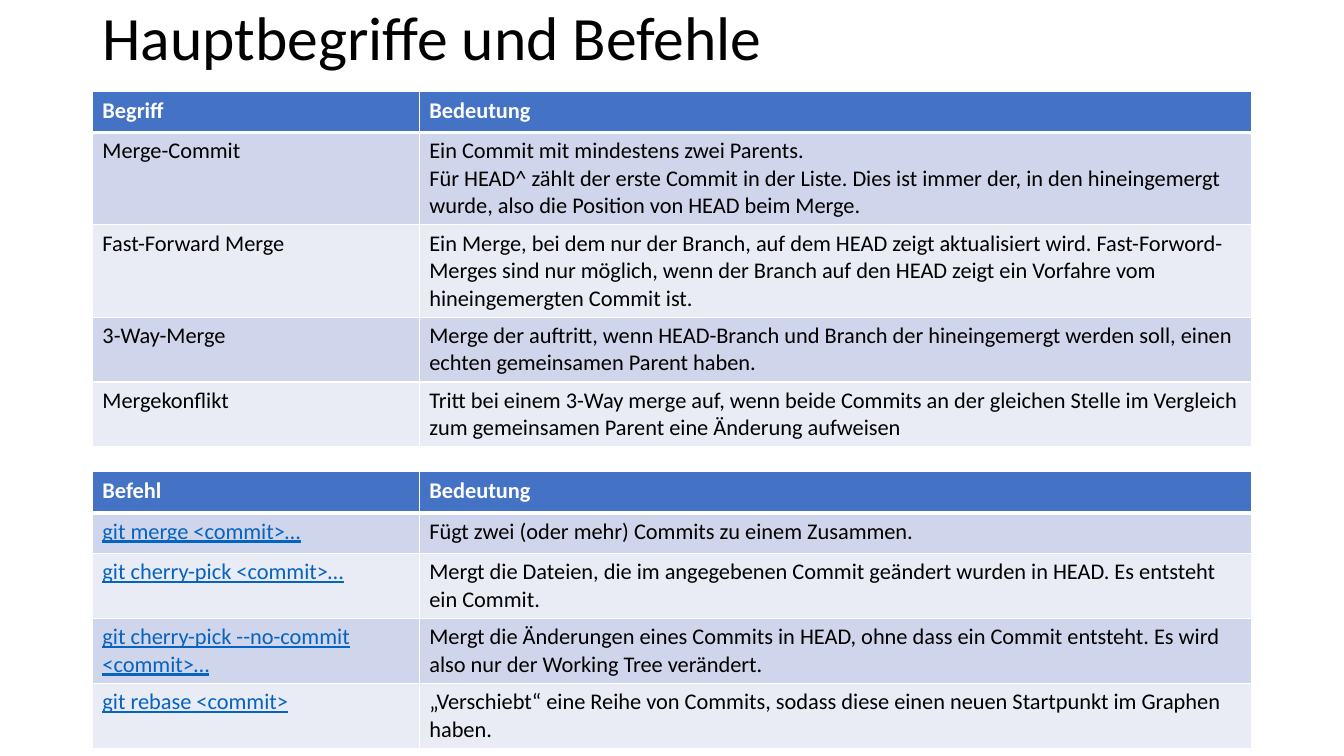
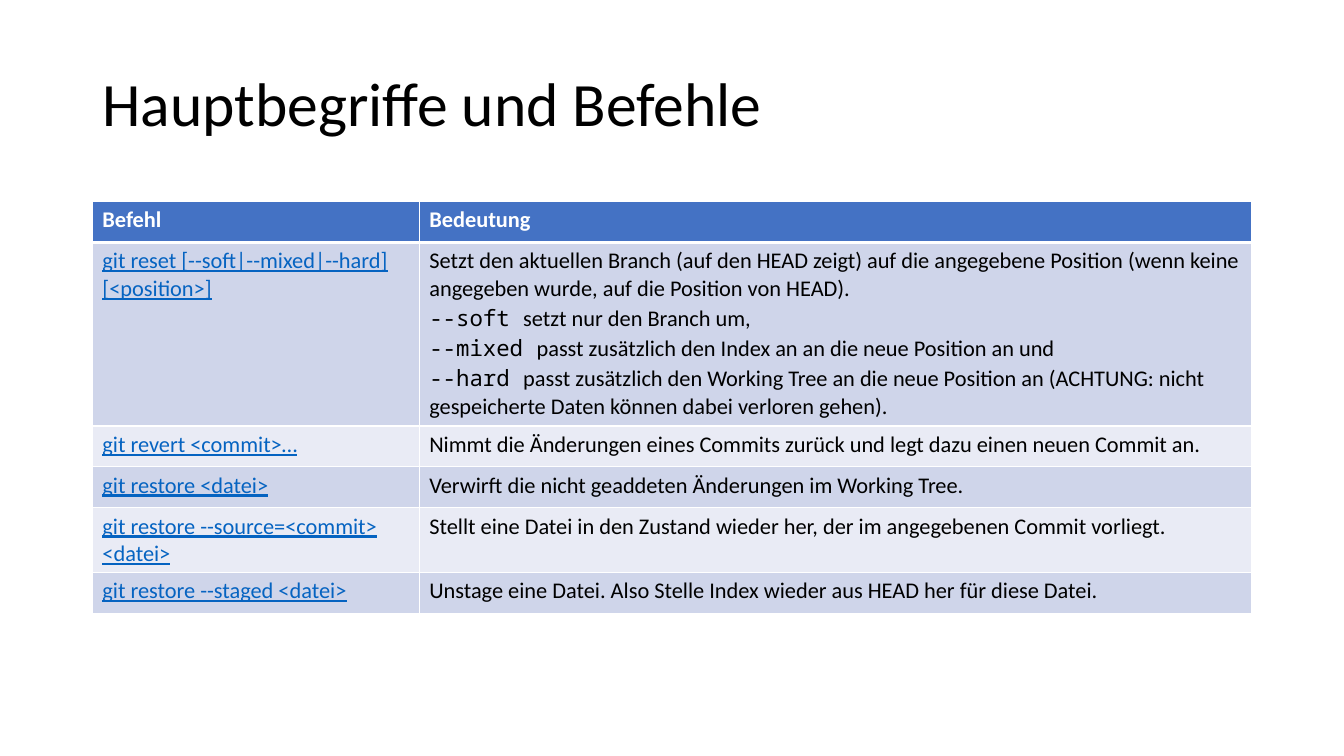
import pptx
import pptx.dml.color
import pptx.enum.text
import pptx.oxml
import pptx.oxml.ns
import pptx.util

Pt = pptx.util.Pt

BODY_FONT = "Calibri"
CODE_FONT = "Noto Sans Mono"
BLACK, WHITE = "000000", "FFFFFF"
HEADER_FILL = "4472C4"
BAND_FILLS = ("CFD5EA", "E9EBF5")
COMMAND_COLOR = "0563C1"

TITLE = "Hauptbegriffe und Befehle"

TERMS = [
    ("Merge-Commit", [
        "Ein Commit mit mindestens zwei Parents.",
        "Für HEAD^ zählt der erste Commit in der Liste. Dies ist immer der, in den "
        "hineingemergt wurde, also die Position von HEAD beim Merge."]),
    ("Fast-Forward Merge", [
        "Ein Merge, bei dem nur der Branch, auf dem HEAD zeigt aktualisiert wird. "
        "Fast-Forword-Merges sind nur möglich, wenn der Branch auf den HEAD zeigt ein "
        "Vorfahre vom hineingemergten Commit ist."]),
    ("3-Way-Merge", [
        "Merge der auftritt, wenn HEAD-Branch und Branch der hineingemergt werden soll, "
        "einen echten gemeinsamen Parent haben."]),
    ("Mergekonflikt", [
        "Tritt bei einem 3-Way merge auf, wenn beide Commits an der gleichen Stelle im "
        "Vergleich zum gemeinsamen Parent eine Änderung aufweisen"]),
]

MERGE_COMMANDS = [
    ("git merge <commit>…", ["Fügt zwei (oder mehr) Commits zu einem Zusammen."]),
    ("git cherry-pick <commit>…", [
        "Mergt die Dateien, die im angegebenen Commit geändert wurden in HEAD. "
        "Es entsteht ein Commit."]),
    ("git cherry-pick --no-commit <commit>…", [
        "Mergt die Änderungen eines Commits in HEAD, ohne dass ein Commit entsteht. "
        "Es wird also nur der Working Tree verändert."]),
    ("git rebase <commit>", [
        "„Verschiebt“ eine Reihe von Commits, sodass diese einen neuen Startpunkt im "
        "Graphen haben."]),
]

# A pair inside a meaning is a command option followed by its explanation.
UNDO_COMMANDS = [
    ("git reset [--soft|--mixed|--hard] [<position>]", [
        "Setzt den aktuellen Branch (auf den HEAD zeigt) auf die angegebene Position "
        "(wenn keine angegeben wurde, auf die Position von HEAD).",
        ("--soft ", "setzt nur den Branch um,"),
        ("--mixed ", "passt zusätzlich den Index an an die neue Position an und"),
        ("--hard ", "passt zusätzlich den Working Tree an die neue Position an (ACHTUNG: "
                    "nicht gespeicherte Daten können dabei verloren gehen).")]),
    ("git revert <commit>…", [
        "Nimmt die Änderungen eines Commits zurück und legt dazu einen neuen Commit an."]),
    ("git restore <datei>", ["Verwirft die nicht geaddeten Änderungen im Working Tree."]),
    ("git restore --source=<commit> <datei>", [
        "Stellt eine Datei in den Zustand wieder her, der im angegebenen Commit vorliegt."]),
    ("git restore --staged <datei>", [
        "Unstage eine Datei. Also Stelle Index wieder aus HEAD her für diese Datei."]),
]


def rgb(hex_color):
    return pptx.dml.color.RGBColor.from_string(hex_color)


def add_text(paragraph, text, size=16, font=BODY_FONT, color=BLACK, bold=False,
             underline=False):
    run = paragraph.add_run()
    run.text = text
    run.font.size = Pt(size)
    run.font.name = font
    run.font.color.rgb = rgb(color)
    run.font.bold = bold
    run.font.underline = underline


def style_cell(cell, fill, top=1, bottom=1):
    """Fill the cell and give it white borders; top and bottom are line widths."""
    properties = cell._tc.get_or_add_tcPr()
    for side, width in (("L", 1), ("R", 1), ("T", top), ("B", bottom)):
        properties.append(pptx.oxml.parse_xml(
            f'<a:ln{side} {pptx.oxml.ns.nsdecls("a")} w="{Pt(width)}"><a:solidFill>'
            f'<a:srgbClr val="{WHITE}"/></a:solidFill></a:ln{side}>'))
    cell.fill.solid()
    cell.fill.fore_color.rgb = rgb(fill)


class Deck:
    LEFT, WIDTH = 66, 828
    TITLE_HEIGHT = 104.4
    TERM_WIDTH = 233.5
    ROW_HEIGHT = 29.2

    def __init__(self):
        self.presentation = pptx.Presentation()
        self.presentation.slide_width = Pt(960)
        self.presentation.slide_height = Pt(540)
        self.slide = None

    def add_slide(self, title, title_top):
        self.slide = self.presentation.slides.add_slide(
            self.presentation.slide_layouts[5])
        heading = self.slide.shapes.title
        heading.left, heading.top = Pt(self.LEFT), Pt(title_top)
        heading.width, heading.height = Pt(self.WIDTH), Pt(self.TITLE_HEIGHT)
        frame = heading.text_frame
        frame.auto_size = pptx.enum.text.MSO_AUTO_SIZE.NONE
        frame.vertical_anchor = pptx.enum.text.MSO_ANCHOR.MIDDLE
        paragraph = frame.paragraphs[0]
        paragraph.alignment = pptx.enum.text.PP_ALIGN.LEFT
        paragraph.line_spacing = 0.9
        add_text(paragraph, title, size=44)

    def add_glossary(self, top, heading, entries, **term_format):
        """Add a two-column table that pairs each term with its meaning."""
        row_count = len(entries) + 1
        table = self.slide.shapes.add_table(
            row_count, 2, Pt(self.LEFT), Pt(top), Pt(self.WIDTH),
            Pt(row_count * self.ROW_HEIGHT)).table
        table.columns[0].width = Pt(self.TERM_WIDTH)
        table.columns[1].width = Pt(self.WIDTH - self.TERM_WIDTH)
        for row in table.rows:
            row.height = Pt(self.ROW_HEIGHT)

        for column, label in enumerate((heading, "Bedeutung")):
            cell = table.cell(0, column)
            style_cell(cell, HEADER_FILL, bottom=3)
            add_text(cell.text_frame.paragraphs[0], label, color=WHITE, bold=True)

        for index, (term, meaning) in enumerate(entries):
            term_cell, meaning_cell = table.rows[index + 1].cells
            for cell in (term_cell, meaning_cell):
                style_cell(cell, BAND_FILLS[index % 2], top=3 if index == 0 else 1)
            add_text(term_cell.text_frame.paragraphs[0], term, **term_format)
            self.write_meaning(meaning_cell.text_frame, meaning)

    def write_meaning(self, frame, meaning):
        for index, part in enumerate(meaning):
            paragraph = frame.add_paragraph() if index else frame.paragraphs[0]
            if isinstance(part, tuple):
                option, part = part
                add_text(paragraph, option, font=CODE_FONT)
            add_text(paragraph, part)


def main():
    command_format = {"color": COMMAND_COLOR, "underline": True}
    deck = Deck()
    deck.add_slide(TITLE, title_top=-23)
    deck.add_glossary(65.5, "Begriff", TERMS)
    deck.add_glossary(337, "Befehl", MERGE_COMMANDS, **command_format)
    deck.add_slide(TITLE, title_top=23.75)
    deck.add_glossary(144, "Befehl", UNDO_COMMANDS, **command_format)
    deck.presentation.save("out.pptx")


if __name__ == "__main__":
    main()
